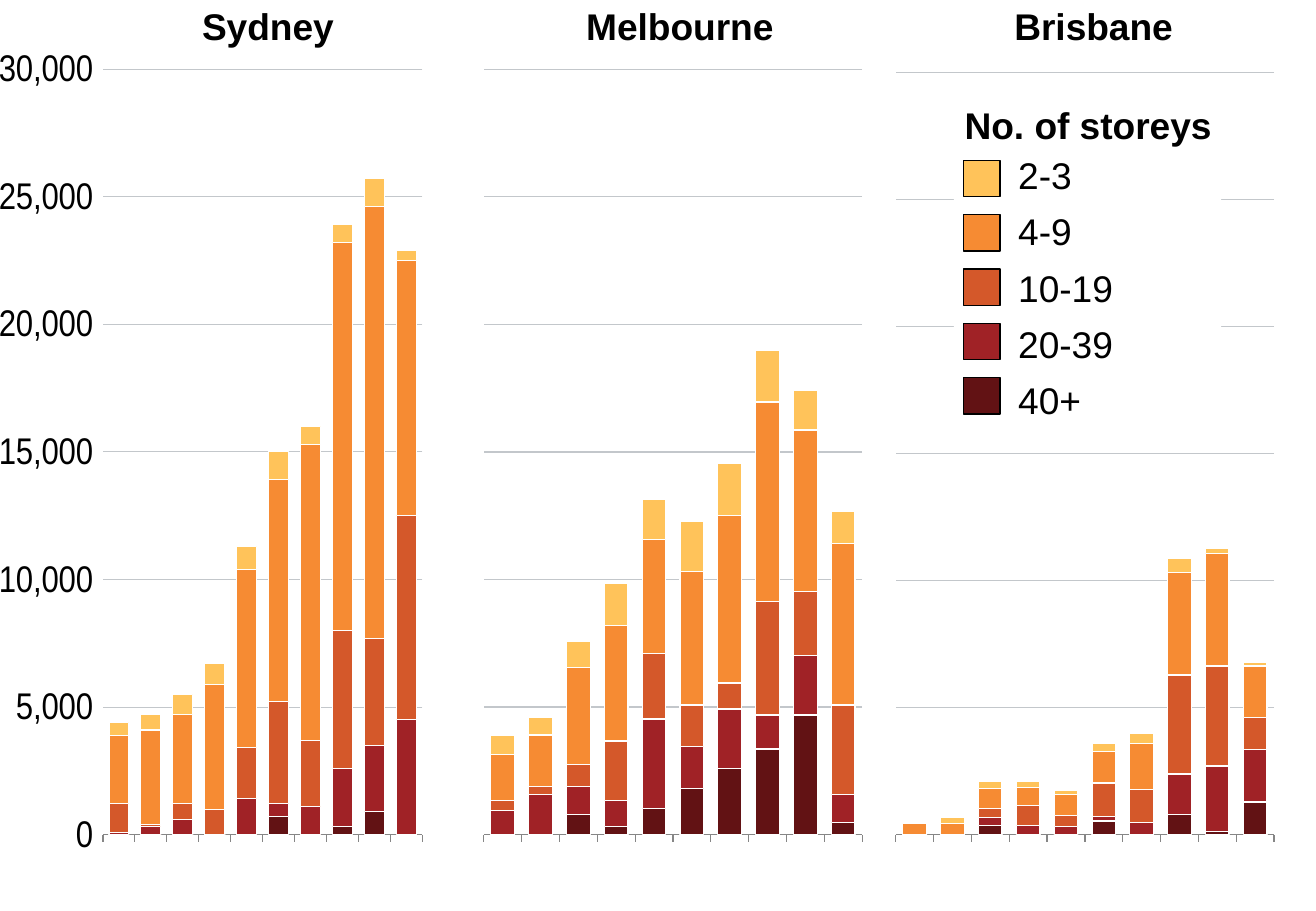
from pptx import Presentation
from pptx.chart.data import CategoryChartData
from pptx.dml.color import RGBColor
from pptx.enum.chart import XL_CHART_TYPE, XL_TICK_LABEL_POSITION, XL_TICK_MARK
from pptx.enum.shapes import MSO_SHAPE
from pptx.enum.text import MSO_ANCHOR, PP_ALIGN
from pptx.oxml import parse_xml
from pptx.oxml.ns import nsdecls
from pptx.util import Inches, Pt

STACKED = XL_CHART_TYPE.COLUMN_STACKED
NO_LABELS = XL_TICK_LABEL_POSITION.NONE
OUTSIDE = XL_TICK_MARK.OUTSIDE
RECT = MSO_SHAPE.RECTANGLE
MIDDLE = MSO_ANCHOR.MIDDLE
CENTER, LEFT = PP_ALIGN.CENTER, PP_ALIGN.LEFT

THEME = {
    "font": "Arial",
    "text_size": Pt(22),
    "chart_size": Pt(18),
    "line_width": Pt(0.75),
    "text": RGBColor.from_string("000000"),
    "paper": RGBColor.from_string("FFFFFF"),
    "grid": RGBColor.from_string("C3C7CB"),
    "axis": RGBColor.from_string("868686"),
    "storeys": [RGBColor.from_string(c) for c in
                ("621214", "A02226", "D4582A", "F68B33", "FFC35A")],
}

YEARS = [str(year) for year in range(2009, 2019)]
STOREYS = ["2-3", "4-9", "10-19", "20-39", "40+"]

CITIES = [
    {"name": "Sydney", "title": (0.65, 3.11), "chart": (-0.01, 4.05),
     "plot_width": 0.774, "max": 30000, "step": 5000, "labels": True,
     "values": [
         [0, 0, 0, 0, 0, 700, 0, 300, 900, 0],
         [100, 300, 600, 0, 1400, 500, 1100, 2300, 2600, 4500],
         [1100, 100, 600, 1000, 2000, 4000, 2600, 5400, 4200, 8000],
         [2700, 3700, 3500, 4900, 7000, 8700, 11600, 15200, 16900, 10000],
         [500, 600, 800, 800, 900, 1100, 700, 700, 1100, 400]]},
    {"name": "Melbourne", "title": (4.04, 3.11), "chart": (3.76, 3.69),
     "plot_width": 0.844, "max": 384, "step": 64, "labels": False,
     "values": [
         [0, 0, 10, 4, 13, 23, 33, 43, 60, 6],
         [12, 20, 14, 13, 45, 21, 30, 17, 30, 14],
         [5, 4, 11, 30, 33, 21, 13, 57, 32, 45],
         [23, 26, 49, 58, 57, 67, 84, 100, 81, 81],
         [10, 9, 13, 21, 20, 25, 26, 26, 20, 16]]},
    {"name": "Brisbane", "title": (7.44, 3.12), "chart": (7.15, 3.69),
     "plot_width": 0.844, "max": 681, "step": 113, "labels": False,
     "values": [
         [0, 0, 8, 0, 0, 12, 0, 18, 3, 29],
         [0, 0, 7, 8, 7, 4, 11, 36, 58, 47],
         [0, 0, 8, 18, 10, 30, 29, 88, 89, 28],
         [10, 10, 18, 16, 19, 28, 41, 91, 100, 46],
         [1, 5, 6, 5, 3, 7, 9, 13, 5, 3]]},
]


def add_box(shapes, left, top, width, height, fill, outlined=False):
    sp = shapes.add_shape(RECT, Inches(left), Inches(top), Inches(width), Inches(height))
    sp.shadow.inherit = False
    sp.fill.solid()
    sp.fill.fore_color.rgb = fill
    if outlined:
        sp.line.color.rgb = THEME["text"]
        sp.line.width = THEME["line_width"]
    else:
        sp.line.fill.background()
    return sp


def write_lines(sp, lines, align, bold=False):
    tf = sp.text_frame
    tf.margin_left = tf.margin_right = tf.margin_top = tf.margin_bottom = 0
    tf.word_wrap = True
    tf.vertical_anchor = MIDDLE
    tf.text = "\n".join(lines)
    for i, p in enumerate(tf.paragraphs):
        p.alignment = align
        if i:
            p.space_before = Pt(7)
        font = p.runs[0].font
        font.name = THEME["font"]
        font.size = THEME["text_size"]
        font.bold = bold
        font.color.rgb = THEME["text"]


prs = Presentation()
prs.slide_width, prs.slide_height = Inches(10.83), Inches(7.5)
s = prs.slides.add_slide(prs.slide_layouts[6])

for city in CITIES:
    data = CategoryChartData(number_format="#,##0")
    data.categories = YEARS
    for i, values in enumerate(city["values"], 1):
        data.add_series(f"Series {i}", values)
    left, width = city["chart"]
    chart = s.shapes.add_chart(STACKED, Inches(left), Inches(0.37),
                               Inches(width), Inches(7.13), data).chart
    chart.has_legend = False
    chart.has_title = False
    chart.font.name = THEME["font"]
    chart.font.size = THEME["chart_size"]
    chart.font.color.rgb = THEME["text"]

    plot = chart.plots[0]
    plot.gap_width = 60
    plot.overlap = 100
    plot.vary_by_categories = False
    for series, color in zip(plot.series, THEME["storeys"]):
        series.format.fill.solid()
        series.format.fill.fore_color.rgb = color
        series.format.line.color.rgb = THEME["paper"]
        series.format.line.width = THEME["line_width"]

    years = chart.category_axis
    years.tick_label_position = NO_LABELS
    years.major_tick_mark = OUTSIDE
    years.format.line.color.rgb = THEME["axis"]
    years.format.line.width = THEME["line_width"]

    axis = chart.value_axis
    axis.minimum_scale = 0
    axis.maximum_scale = city["max"]
    axis.major_unit = city["step"]
    axis.major_tick_mark = OUTSIDE
    axis.format.line.fill.background()
    axis.major_gridlines.format.line.color.rgb = THEME["grid"]
    axis.major_gridlines.format.line.width = THEME["line_width"]
    axis.tick_labels.number_format = "#,##0"
    axis.tick_labels.number_format_is_linked = False
    axis.tick_labels.font.size = THEME["text_size"]
    if not city["labels"]:
        axis.tick_label_position = NO_LABELS

    area = chart.element.chart.plotArea
    for layout in area.xpath("c:layout"):
        area.remove(layout)
    area.insert(0, parse_xml(
        f'<c:layout {nsdecls("c")}><c:manualLayout><c:layoutTarget val="inner"/>'
        '<c:xMode val="edge"/><c:yMode val="edge"/><c:x val="0.06"/><c:y val="0.028"/>'
        f'<c:w val="{city["plot_width"]}"/><c:h val="0.884"/>'
        '</c:manualLayout></c:layout>'))

for city in CITIES:
    left, width = city["title"]
    title = add_box(s.shapes, left, 0.03, width, 0.37, THEME["paper"])
    write_lines(title, [city["name"]], CENTER, bold=True)

legend = s.shapes.add_group_shape().shapes
add_box(legend, 7.85, 0.96, 1.96, 2.26, THEME["paper"])
labels = add_box(legend, 8.38, 1.27, 1.67, 2.19, THEME["paper"])
write_lines(labels, STOREYS, LEFT)
for i, color in enumerate(reversed(THEME["storeys"])):
    add_box(legend, 7.93, 1.32 + i * 0.4475, 0.3, 0.3, color, outlined=True)
heading = add_box(legend, 7.85, 0.84, 2.21, 0.37, THEME["paper"])
write_lines(heading, ["No. of storeys"], CENTER, bold=True)

prs.save("out.pptx")
